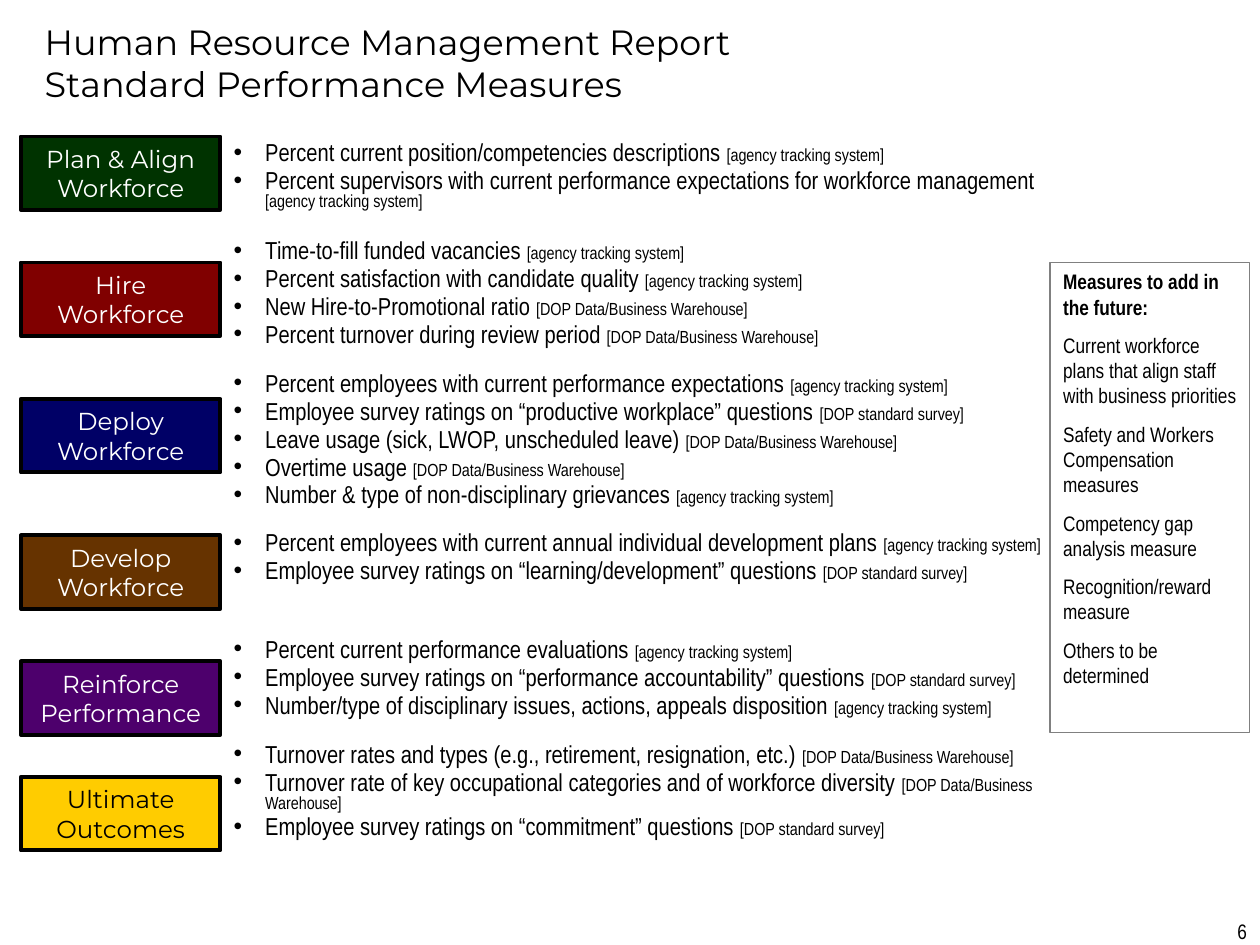
from lxml import etree
from pptx import Presentation
from pptx.dml.color import RGBColor as RGB
from pptx.enum.shapes import MSO_SHAPE as SHAPE
from pptx.enum.text import MSO_ANCHOR as ANCHOR, PP_ALIGN as ALIGN
from pptx.oxml.ns import qn
from pptx.util import Emu, Pt

BLACK = RGB(0x00, 0x00, 0x00)
WHITE = RGB(0xFF, 0xFF, 0xFF)
GRAY = RGB(0x80, 0x80, 0x80)
GREEN = RGB(0x00, 0x33, 0x00)
RED = RGB(0x80, 0x00, 0x00)
NAVY = RGB(0x00, 0x00, 0x66)
BROWN = RGB(0x66, 0x33, 0x00)
PURPLE = RGB(0x4D, 0x00, 0x6C)
GOLD = RGB(0xFF, 0xCC, 0x00)

HEADING = "Montserrat"
BODY = "Arial Narrow"

AGENCY = "[agency tracking system]"
WAREHOUSE = "[DOP Data/Business Warehouse]"
SURVEY = "[DOP standard survey]"

STAGES = [
    ("Plan & Align Workforce", 104, GREEN, WHITE, 10),
    ("Hire Workforce", 200, RED, WHITE, 10),
    ("Deploy Workforce", 304, NAVY, WHITE, 10),
    ("Develop Workforce", 408, BROWN, WHITE, 10),
    ("Reinforce Performance", 504, PURPLE, WHITE, 5),
    ("Ultimate Outcomes", 592, GOLD, BLACK, 5),
]

MEASURES = [
    (0, [
        ("Percent current position/competencies descriptions", AGENCY),
        ("Percent supervisors with current performance expectations for workforce management", AGENCY),
    ]),
    (17, [
        ("Time-to-fill funded vacancies", AGENCY),
        ("Percent satisfaction with candidate quality", AGENCY),
        ("New Hire-to-Promotional ratio", WAREHOUSE),
        ("Percent turnover during review period", WAREHOUSE),
    ]),
    (14.5, [
        ("Percent employees with current performance expectations", AGENCY),
        ("Employee survey ratings on “productive workplace” questions", SURVEY),
        ("Leave usage (sick, LWOP, unscheduled leave)", WAREHOUSE),
        ("Overtime usage", WAREHOUSE),
        ("Number & type of non-disciplinary grievances", AGENCY),
    ]),
    (14, [
        ("Percent employees with current annual individual development plans", AGENCY),
        ("Employee survey ratings on “learning/development” questions", SURVEY),
    ]),
    (31.5, [
        ("Percent current performance evaluations", AGENCY),
        ("Employee survey ratings on “performance accountability” questions", SURVEY),
        ("Number/type of disciplinary issues, actions, appeals disposition", AGENCY),
    ]),
    (14.5, [
        ("Turnover rates and types (e.g., retirement, resignation, etc.)", WAREHOUSE),
        ("Turnover rate of key occupational categories and of workforce diversity", WAREHOUSE),
        ("Employee survey ratings on “commitment” questions", SURVEY),
    ]),
]

FUTURE = [
    "Measures to add in the future:",
    "Current workforce plans that align staff with business priorities",
    "Safety and Workers Compensation measures",
    "Competency gap analysis measure",
    "Recognition/reward measure",
    "Others to be determined",
]


def px(n):
    return Emu(n * 9525)


class Deck:
    def __init__(self, width, height):
        self.prs = Presentation()
        self.prs.slide_width, self.prs.slide_height = px(width), px(height)
        self.s = self.prs.slides.add_slide(self.prs.slide_layouts[6])

    def frame(self, sp, anchor=ANCHOR.TOP, side=10):
        tf = sp.text_frame
        fmt = {"word_wrap": True, "vertical_anchor": anchor,
               "margin_left": px(side), "margin_right": px(side),
               "margin_top": px(5), "margin_bottom": px(5)}
        for name, value in fmt.items():
            setattr(tf, name, value)
        return tf

    def run(self, p, text, size, font=BODY, color=BLACK, bold=False):
        r = p.add_run()
        r.text = text
        for name, value in {"name": font, "size": Pt(size), "bold": bold}.items():
            setattr(r.font, name, value)
        r.font.color.rgb = color

    def paragraph(self, tf, first, **fmt):
        p = tf.paragraphs[0] if first else tf.add_paragraph()
        for name, value in fmt.items():
            setattr(p, name, value)
        return p

    def text(self, box, lines, size, font=BODY, align=ALIGN.LEFT, anchor=ANCHOR.TOP):
        tf = self.frame(self.s.shapes.add_textbox(*map(px, box)), anchor)
        p = self.paragraph(tf, True, alignment=align)
        for i, line in enumerate(lines):
            if i:
                p.add_line_break()
            self.run(p, line, size, font)

    def rect(self, box, line, width, fill=None):
        sp = self.s.shapes.add_shape(SHAPE.RECTANGLE, *map(px, box))
        sp.shadow.inherit = False
        if fill is None:
            sp.fill.background()
        else:
            sp.fill.solid()
            sp.fill.fore_color.rgb = fill
        sp.line.color.rgb = line
        sp.line.width = Pt(width)
        return sp

    def stage(self, label, top, fill, color, side):
        sp = self.rect((16, top, 152, 56), BLACK, 2.25, fill)
        tf = self.frame(sp, ANCHOR.MIDDLE, side)
        p = self.paragraph(tf, True, alignment=ALIGN.CENTER)
        self.run(p, label, 14, HEADING, color)

    def bullet(self, p):
        pPr = p._p.get_or_add_pPr()
        pPr.set("marL", str(px(24)))
        pPr.set("indent", str(px(-24)))
        clr = etree.SubElement(pPr, qn("a:buClr"))
        etree.SubElement(clr, qn("a:srgbClr"), val=str(BLACK))
        etree.SubElement(pPr, qn("a:buFont"), typeface="Arial")
        etree.SubElement(pPr, qn("a:buChar"), char="•")

    def measures(self, box, groups):
        tf = self.frame(self.s.shapes.add_textbox(*map(px, box)))
        for g, (gap, items) in enumerate(groups):
            for i, (measure, source) in enumerate(items):
                p = self.paragraph(tf, g == i == 0, line_spacing=0.8,
                                   space_before=Pt(2.5 if i else gap))
                self.bullet(p)
                self.run(p, measure + " ", 14)
                self.run(p, source, 10)

    def panel(self, box, lines):
        tf = self.frame(self.rect(box, GRAY, 0.75))
        for i, line in enumerate(lines):
            p = self.paragraph(tf, i == 0, alignment=ALIGN.LEFT,
                               space_before=Pt(7.5 if i else 0))
            self.run(p, line, 12, bold=i == 0)


def main():
    deck = Deck(960, 720)
    deck.text((24, 0, 904, 96),
              ["Human Resource Management Report", "Standard Performance Measures"],
              20, HEADING, anchor=ANCHOR.MIDDLE)
    deck.measures((168, 104, 640, 592), MEASURES)
    deck.panel((800, 200, 152, 358), FUTURE)
    for stage in STAGES:
        deck.stage(*stage)
    deck.text((736, 695, 224, 50), ["6"], 12, align=ALIGN.RIGHT)
    deck.prs.save("out.pptx")


if __name__ == "__main__":
    main()
